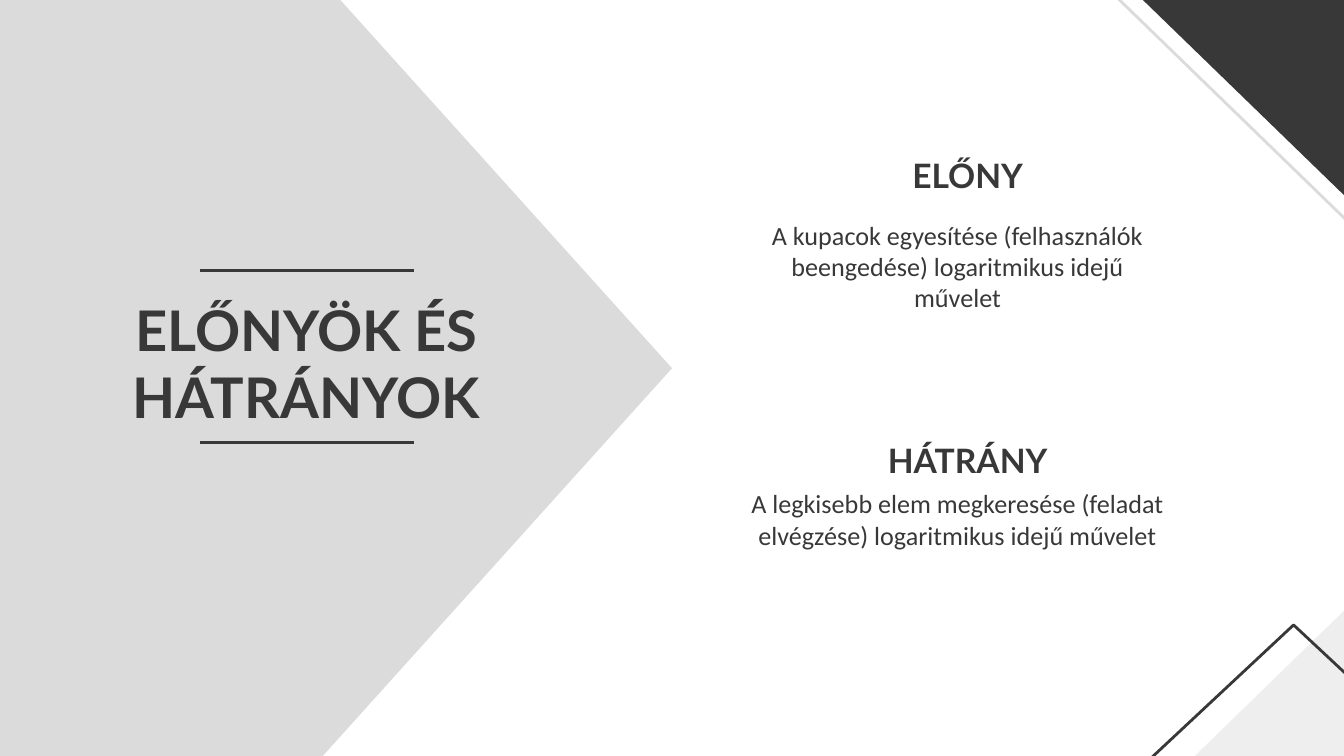
from dataclasses import dataclass

from lxml import etree
from pptx import Presentation
from pptx.dml.color import RGBColor
from pptx.enum.shapes import MSO_CONNECTOR, MSO_SHAPE
from pptx.enum.text import MSO_ANCHOR, PP_ALIGN
from pptx.oxml.ns import qn
from pptx.util import Inches, Pt

TRIANGLE = MSO_SHAPE.ISOSCELES_TRIANGLE
RIGHT_TRIANGLE = MSO_SHAPE.RIGHT_TRIANGLE
STRAIGHT = MSO_CONNECTOR.STRAIGHT
TOP, MIDDLE = MSO_ANCHOR.TOP, MSO_ANCHOR.MIDDLE
CENTER = PP_ALIGN.CENTER


@dataclass(frozen=True)
class Theme:
    dark: RGBColor = RGBColor.from_string("383838")
    grey: RGBColor = RGBColor.from_string("DBDBDB")
    pale: RGBColor = RGBColor.from_string("EEEEEE")
    heading_font: str = "Lato"
    body_font: str = "Calibri"
    title_size: int = 30
    heading_size: int = 18
    body_size: int = 14
    line_width: float = 1.5
    inset: float = 0.1


class SlideBuilder:
    def __init__(self, slide, theme):
        self.slide = slide
        self.theme = theme

    def shape(self, kind, box, rotation=0, fill=None, line=None):
        shape = self.slide.shapes.add_shape(kind, *map(Inches, box))
        shape.shadow.inherit = False
        shape.rotation = rotation
        if fill is None:
            shape.fill.background()
        else:
            shape.fill.solid()
            shape.fill.fore_color.rgb = fill
        if line is None:
            shape.line.fill.background()
        else:
            self.stroke(shape.line, line)

    def stroke(self, line, color):
        line.color.rgb = color
        line.width = Pt(self.theme.line_width)

    def rule(self, left, right, y):
        connector = self.slide.shapes.add_connector(
            STRAIGHT, Inches(left), Inches(y), Inches(right), Inches(y))
        self.stroke(connector.line, self.theme.dark)
        etree.SubElement(connector._element.spPr, qn("a:effectLst"))

    def text(self, text, box, font, size, bold=False, anchor=TOP):
        frame = self.slide.shapes.add_textbox(*map(Inches, box)).text_frame
        inset = Inches(self.theme.inset)
        frame_format = {
            "word_wrap": True, "vertical_anchor": anchor,
            "margin_left": inset, "margin_right": inset,
            "margin_top": inset, "margin_bottom": inset,
        }
        for name, value in frame_format.items():
            setattr(frame, name, value)
        paragraph = frame.paragraphs[0]
        paragraph.text = text
        paragraph.alignment = CENTER
        for run in paragraph.runs:
            run_format = {"name": font, "size": Pt(size), "bold": bold}
            for name, value in run_format.items():
                setattr(run.font, name, value)
            run.font.color.rgb = self.theme.dark

    def heading(self, text, box, size, anchor=TOP):
        self.text(text, box, self.theme.heading_font, size, True, anchor)

    def body(self, text, box):
        self.text(text, box, self.theme.body_font, self.theme.body_size)


def main():
    presentation = Presentation()
    presentation.slide_width = Inches(10)
    presentation.slide_height = Inches(5.625)
    slide = presentation.slides.add_slide(presentation.slide_layouts[6])
    theme = Theme()
    builder = SlideBuilder(slide, theme)

    # Background triangles
    builder.shape(TRIANGLE, (-3.47, 0.11, 11.68, 5.26), 90, fill=theme.grey)
    builder.shape(RIGHT_TRIANGLE, (7.64, -0.67, 3.72, 3.61), 180, line=theme.grey)
    builder.shape(RIGHT_TRIANGLE, (7.7, -0.78, 3.72, 3.61), 180, fill=theme.dark)
    builder.shape(RIGHT_TRIANGLE, (8.73, 4.34, 1.44, 1.48), 270, fill=theme.pale)
    builder.shape(TRIANGLE, (8.03, 4.65, 3.19, 1.49), line=theme.dark)

    # Title between two rules
    builder.heading("ELŐNYÖK ÉS\nHÁTRÁNYOK", (0.29, 2.1, 3.98, 1.11),
                    theme.title_size)
    for y in (2.01, 3.29):
        builder.rule(1.49, 3.08, y)

    # Advantage and disadvantage
    sections = [
        ("ELŐNY", 1.13, 1.53, 1.22,
         "A kupacok egyesítése (felhasználók beengedése) logaritmikus idejű művelet"),
        ("HÁTRÁNY", 3.25, 3.53, 1.15,
         "A legkisebb elem megkeresése (feladat elvégzése) logaritmikus idejű művelet"),
    ]
    for heading, heading_top, body_top, body_height, body in sections:
        builder.heading(heading, (6.25, heading_top, 1.9, 0.34),
                        theme.heading_size, MIDDLE)
        builder.body(body, (5.49, body_top, 3.27, body_height))

    presentation.save("out.pptx")


if __name__ == "__main__":
    main()
